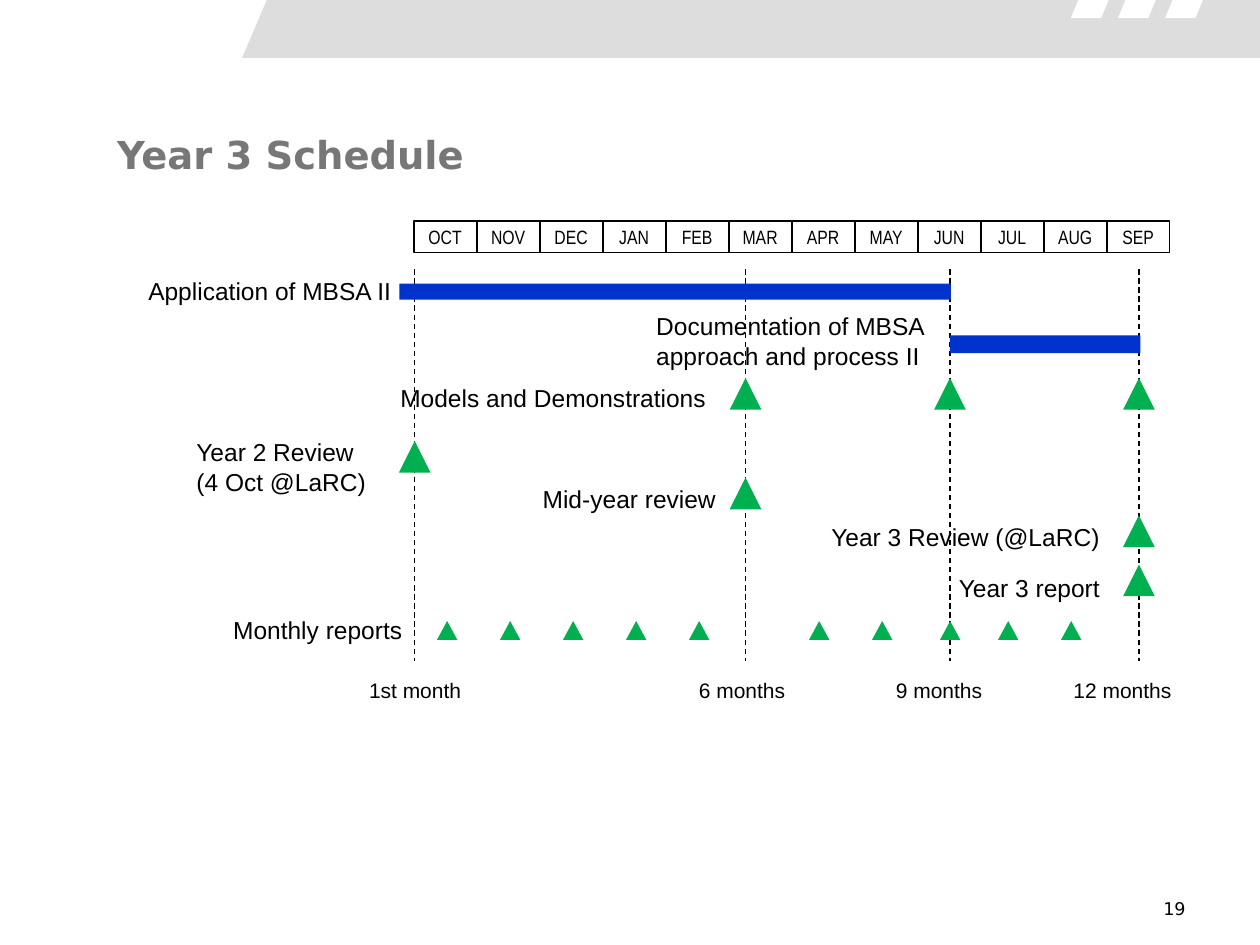
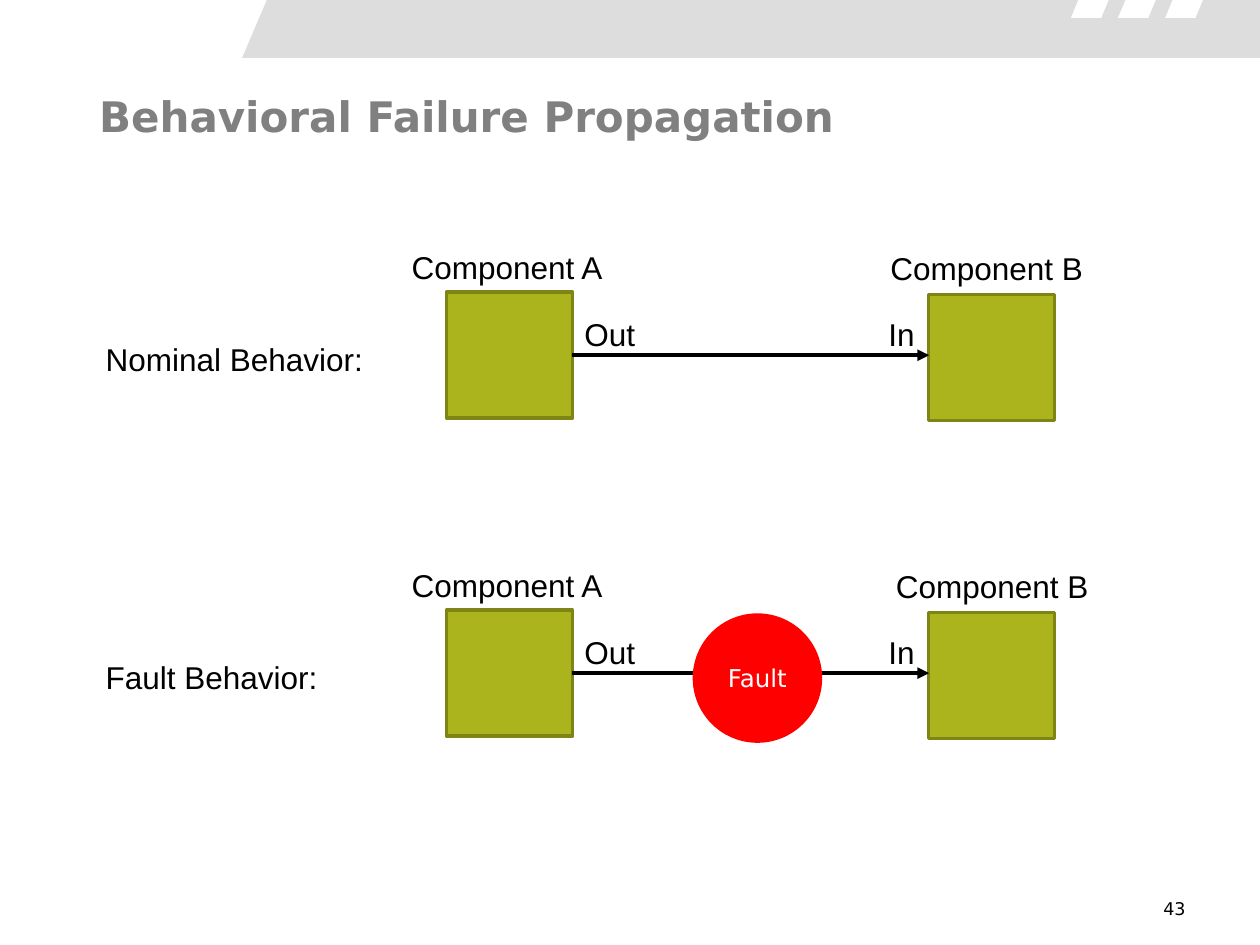
"""Build a yearly schedule slide and a failure propagation slide."""
from dataclasses import dataclass

from lxml import etree
from pptx import Presentation
from pptx import util as u
from pptx.dml.color import RGBColor as Rgb
from pptx.enum import dml, shapes, text
from pptx.oxml.ns import qn


@dataclass(frozen=True)
class Theme:
    ink: str = "000000"
    white: str = "FFFFFF"
    band: str = "DDDDDD"
    dusk: str = "777777"
    gray: str = "808080"
    blue: str = "0033CC"
    green: str = "00B050"
    olive: str = "ABB41D"
    edge: str = "7F8515"
    red: str = "FF0000"
    sans: str = "Arial"
    slim: str = "Arial Narrow"
    wide: str = "DejaVu Sans"
    foot: int = 10
    month: int = 11
    mark: int = 12
    label: int = 14
    block: int = 18
    head: int = 22
    title: int = 24


look = Theme()
kinds = shapes.MSO_SHAPE
left, mid, right = text.PP_ALIGN.LEFT, text.PP_ALIGN.CENTER, text.PP_ALIGN.RIGHT


def write(words, spot, box=None, size=look.label, font=look.sans, tint=look.ink,
          bold=False, align=left, middle=False, wrap=False):
    if box:
        spot = spot.add_textbox(*map(u.Cm, box))
    frame = spot.text_frame
    frame.text = words
    frame.word_wrap = wrap
    frame.vertical_anchor = text.MSO_ANCHOR.MIDDLE if middle else text.MSO_ANCHOR.TOP
    for para in frame.paragraphs:
        para.alignment = align
        para.font.size = u.Pt(size)
        para.font.name = font
        para.font.bold = bold
        para.font.color.rgb = Rgb.from_string(tint)


def draw(page, kind, box, fill=None, line=None, width=1):
    if kind == "free":
        points = [(u.Cm(x), u.Cm(y)) for x, y in box]
        pen = page.build_freeform(*points[0], scale=1.0)
        pen.add_line_segments(points[1:], close=True)
        shape = pen.convert_to_shape()
    elif kind == "line":
        shape = page.add_connector(shapes.MSO_CONNECTOR.STRAIGHT, *map(u.Cm, box))
    else:
        shape = page.add_shape(kind, *map(u.Cm, box))
    if line:
        shape.line.color.rgb = Rgb.from_string(line)
        shape.line.width = u.Pt(width)
    else:
        shape.line.fill.background()
    if kind == "line":
        etree.SubElement(shape.element.find(qn("p:spPr")), qn("a:effectLst"))
        return shape
    shape.shadow.inherit = False
    if fill:
        shape.fill.solid()
        shape.fill.fore_color.rgb = Rgb.from_string(fill)
    else:
        shape.fill.background()
    return shape


deck = Presentation()
deck.slide_width, deck.slide_height = u.Cm(25.4), u.Cm(19.05)
pages = []
for title, x, y, size, tint, middle, number in (
    ("Year 3 Schedule", 2.11, 2.41, look.head, look.dusk, True, "19"),
    ("Behavioral Failure Propagation", 1.75, 1.7, look.title, look.gray, False, "43"),
):
    page = deck.slides.add_slide(deck.slide_layouts[6]).shapes
    draw(page, "free", [(4.88, 1.17), (25.4, 1.17), (25.4, 0), (5.38, 0)], look.band)
    for i in range(3):
        tick = 21.59 + 0.95 * i
        draw(page, "free", [(tick, 0.36), (tick + 0.15, 0), (tick + 0.76, 0),
                            (tick + 0.61, 0.36)], look.white)
    write(title, page, (x, y, 21.59, 1.4), size=size, font=look.wide, tint=tint,
          bold=True, middle=middle, wrap=True)
    write(number, page, (21.79, 17.98, 2.36, 0.69), size=look.foot, font=look.wide,
          align=right, wrap=True)
    pages.append(page)

plan, flow = pages

start, half, third, end = marks = (8.36, 15.03, 19.15, 22.96)
for mark, words, x, wide in zip(
    marks,
    ("1st month", "6 months", "9 months", "12 months"),
    (7.19, 13.84, 17.81, 21.39),
    (2.39, 2.26, 2.26, 2.51),
):
    rule = draw(plan, "line", (mark, 5.43, mark, 13.33), line=look.ink, width=0.75)
    rule.line.dash_style = dml.MSO_LINE.DASH
    write(words, plan, (x, 13.54, wide, 0.76), size=look.mark)

step = 1.27
for i, month in enumerate("OCT NOV DEC JAN FEB MAR APR MAY JUN JUL AUG SEP".split()):
    cell = draw(plan, kinds.RECTANGLE, (8.34 + step * i, 4.45, step, 0.64), line=look.ink)
    write(month, cell, size=look.month, font=look.slim, align=mid, middle=True)

for bar in ((8.05, 5.72, 11.12, 0.32), (19.15, 6.76, 3.84, 0.36)):
    draw(plan, kinds.RECTANGLE, bar, look.blue)

for words, x, y, wide in (
    ("Application of MBSA II", 2.74, 5.43, 5.44),
    ("Documentation of MBSA\napproach and process II", 12.98, 6.15, 6.07),
    ("Models and Demonstrations", 7.82, 7.59, 6.71),
    ("Year 2 Review\n(4 Oct @LaRC)", 3.71, 8.69, 3.96),
    ("Mid-year review", 10.69, 9.63, 4.01),
    ("Year 3 Review (@LaRC)", 16.51, 10.39, 5.94),
    ("Year 3 report", 19.08, 11.43, 3.38),
    ("Monthly reports", 4.45, 12.27, 3.94),
):
    write(words, plan, (x, y, wide, 0.86 + 0.59 * words.count("\n")))

for x, y in ((half, 7.62), (third, 7.62), (end, 7.62), (start, 8.89),
             (half, 9.63), (end, 10.39), (end, 11.38)):
    draw(plan, kinds.ISOSCELES_TRIANGLE, (x - 0.32, y, 0.64, 0.64), look.green)

early = [8.81 + step * i for i in range(5)]
late = [16.31 + step * i for i in (0, 1, 3, 4)]
for x in early + late + [third - 0.2]:
    draw(plan, kinds.ISOSCELES_TRIANGLE, (x, 12.52, 0.41, 0.38), look.green)

side = 2.54
for words, wide, drop, shift in (
    ("Nominal Behavior:", 5.92, 0, 0),
    ("Fault Behavior:", 5, 6.41, 0.11),
):
    for x, y in ((9, 5.89), (18.72, 5.94)):
        draw(flow, kinds.RECTANGLE, (x, y + drop, side, side), look.olive, look.edge, 2)
    wire = draw(flow, "line", (11.53, 7.16 + drop, 18.73, 7.16 + drop),
                line=look.ink, width=2.25)
    etree.SubElement(wire.element.find(".//" + qn("a:ln")), qn("a:tailEnd"),
                     type="triangle")
    for name, x, y, span in (
        (words, 1.88, 6.73, wide),
        ("Component A", 8.05, 4.88, 4.39),
        ("Component B", 17.7 + shift, 4.9, 4.42),
        ("Out", 11.53, 6.22, 1.55),
        ("In", 17.66, 6.22, 1.04),
    ):
        write(name, flow, (x, y + drop, span, 1.02), size=look.block)

fault = draw(flow, kinds.OVAL, (14, 12.4, side, side), look.red, look.red, 2)
write("Fault", fault, font=look.wide, tint=look.white, align=mid, middle=True)

deck.save("out.pptx")
